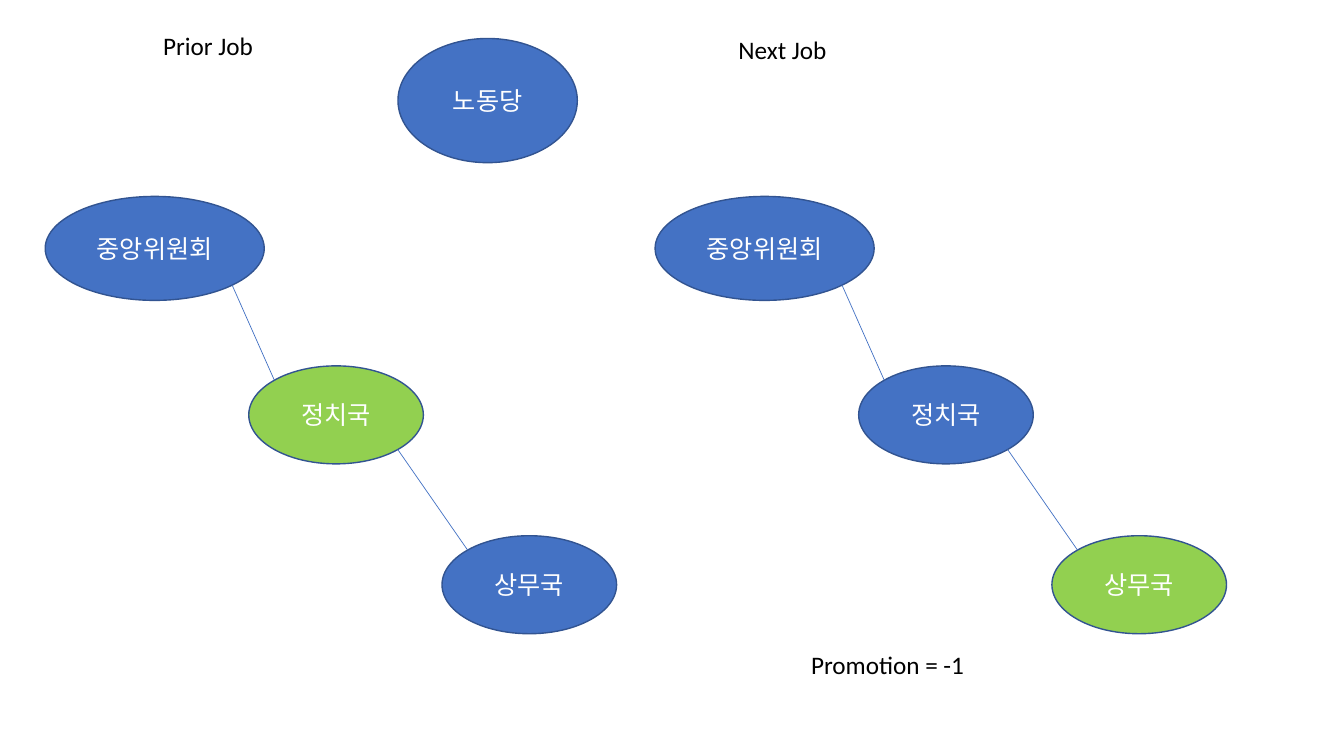
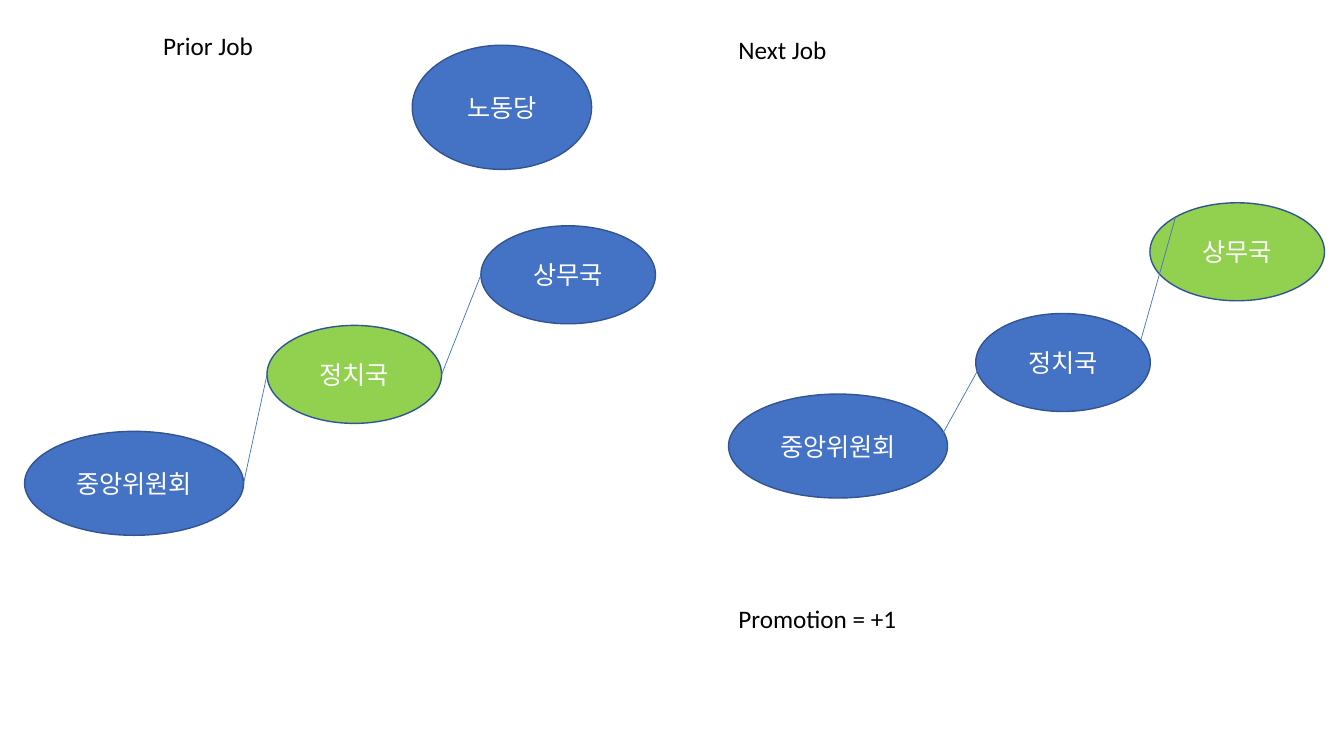
import dataclasses
import math

import lxml.etree
import pptx
import pptx.dml.color
import pptx.enum.shapes
import pptx.enum.text
import pptx.oxml.ns
import pptx.util

Cm = pptx.util.Cm
RGB = pptx.dml.color.RGBColor.from_string

TOP_LEFT, LEFT, BOTTOM_RIGHT, RIGHT = 1, 2, 5, 6


@dataclasses.dataclass(frozen=True)
class Theme:
    font: str = "Calibri"
    text_size: float = 18
    outline_width: float = 1
    link_width: float = 0.5
    body: str = "4472C4"
    current: str = "92D050"
    outline: str = "325491"
    on_fill: str = "FFFFFF"
    text: str = "000000"


class Deck:
    def __init__(self, theme):
        self.theme = theme
        self.presentation = pptx.Presentation()
        self.presentation.slide_width = Cm(33.87)
        self.presentation.slide_height = Cm(19.05)
        self.slide = None

    def new_slide(self):
        blank = self.presentation.slide_layouts[6]
        self.slide = self.presentation.slides.add_slide(blank)

    def add_text(self, frame, text, color):
        run = frame.paragraphs[0].add_run()
        run.text = text
        run.font.name = self.theme.font
        run.font.size = pptx.util.Pt(self.theme.text_size)
        run.font.color.rgb = RGB(color)

    def label(self, text, left, top, width):
        box = self.slide.shapes.add_textbox(Cm(left), Cm(top), Cm(width), Cm(1.02))
        box.text_frame.word_wrap = False
        box.text_frame.auto_size = pptx.enum.text.MSO_AUTO_SIZE.SHAPE_TO_FIT_TEXT
        self.add_text(box.text_frame, text, self.theme.text)

    def organ(self, name, left, top, size, current=False):
        oval = self.slide.shapes.add_shape(
            pptx.enum.shapes.MSO_SHAPE.OVAL, Cm(left), Cm(top), *map(Cm, size))
        oval.shadow.inherit = False
        oval.fill.solid()
        oval.fill.fore_color.rgb = RGB(self.theme.current if current else self.theme.body)
        oval.line.color.rgb = RGB(self.theme.outline)
        oval.line.width = pptx.util.Pt(self.theme.outline_width)
        frame = oval.text_frame
        frame.vertical_anchor = pptx.enum.text.MSO_ANCHOR.MIDDLE
        frame.paragraphs[0].alignment = pptx.enum.text.PP_ALIGN.CENTER
        self.add_text(frame, name, self.theme.on_fill)
        return oval

    @staticmethod
    def site_point(oval, site):
        angle = site * math.pi / 4
        x = oval.left + oval.width * (1 - math.sin(angle)) / 2
        y = oval.top + oval.height * (1 - math.cos(angle)) / 2
        return round(x), round(y)

    def link(self, start, finish, sites):
        ends = list(zip((start, finish), sites))
        (x1, y1), (x2, y2) = (self.site_point(*end) for end in ends)
        line = self.slide.shapes.add_connector(
            pptx.enum.shapes.MSO_CONNECTOR.STRAIGHT, x1, y1, x2, y2)
        line.line.color.rgb = RGB(self.theme.body)
        line.line.width = pptx.util.Pt(self.theme.link_width)
        qn = pptx.oxml.ns.qn
        lxml.etree.SubElement(line._element.spPr, qn("a:effectLst"))
        joints = line._element.find(".//" + qn("p:cNvCxnSpPr"))
        for tag, (oval, site) in zip(("a:stCxn", "a:endCxn"), ends):
            lxml.etree.SubElement(
                joints, qn(tag), id=str(oval.shape_id), idx=str(site))

    def chain(self, places, current, sites):
        ovals = [self.organ(name, *place, size, name == current)
                 for (name, size), place in zip(ORGANS.items(), places)]
        for start, finish in zip(ovals, ovals[1:]):
            self.link(start, finish, sites)

    def job_change(self, party, prior, following, prior_sites, result):
        self.new_slide()
        self.label("Prior Job", 3.86, 0.64, 2.79)
        self.label("Next Job", 18.36, 0.74, 2.77)
        self.organ("노동당", *party, (4.52, 3.13))
        self.chain(prior, "정치국", prior_sites)
        self.chain(following, "상무국", (BOTTOM_RIGHT, TOP_LEFT))
        self.label(*result)


ORGANS = {"중앙위원회": (5.52, 2.62), "정치국": (4.4, 2.47), "상무국": (4.4, 2.47)}


def main():
    deck = Deck(Theme())
    descending = [(1.14, 4.95), (6.27, 9.22), (11.14, 13.5)]
    deck.job_change(
        party=(10.03, 0.97),
        prior=descending,
        following=[(left + 15.37, top) for left, top in descending],
        prior_sites=(BOTTOM_RIGHT, TOP_LEFT),
        result=("Promotion = -1", 20.19, 16.23, 4.42))
    deck.job_change(
        party=(10.39, 1.14),
        prior=[(0.62, 10.87), (6.73, 8.2), (12.12, 5.69)],
        following=[(18.36, 9.93), (24.59, 7.9), (28.98, 5.11)],
        prior_sites=(RIGHT, LEFT),
        result=("Promotion = +1", 18.36, 15.09, 4.55))
    deck.presentation.save("out.pptx")


if __name__ == "__main__":
    main()
